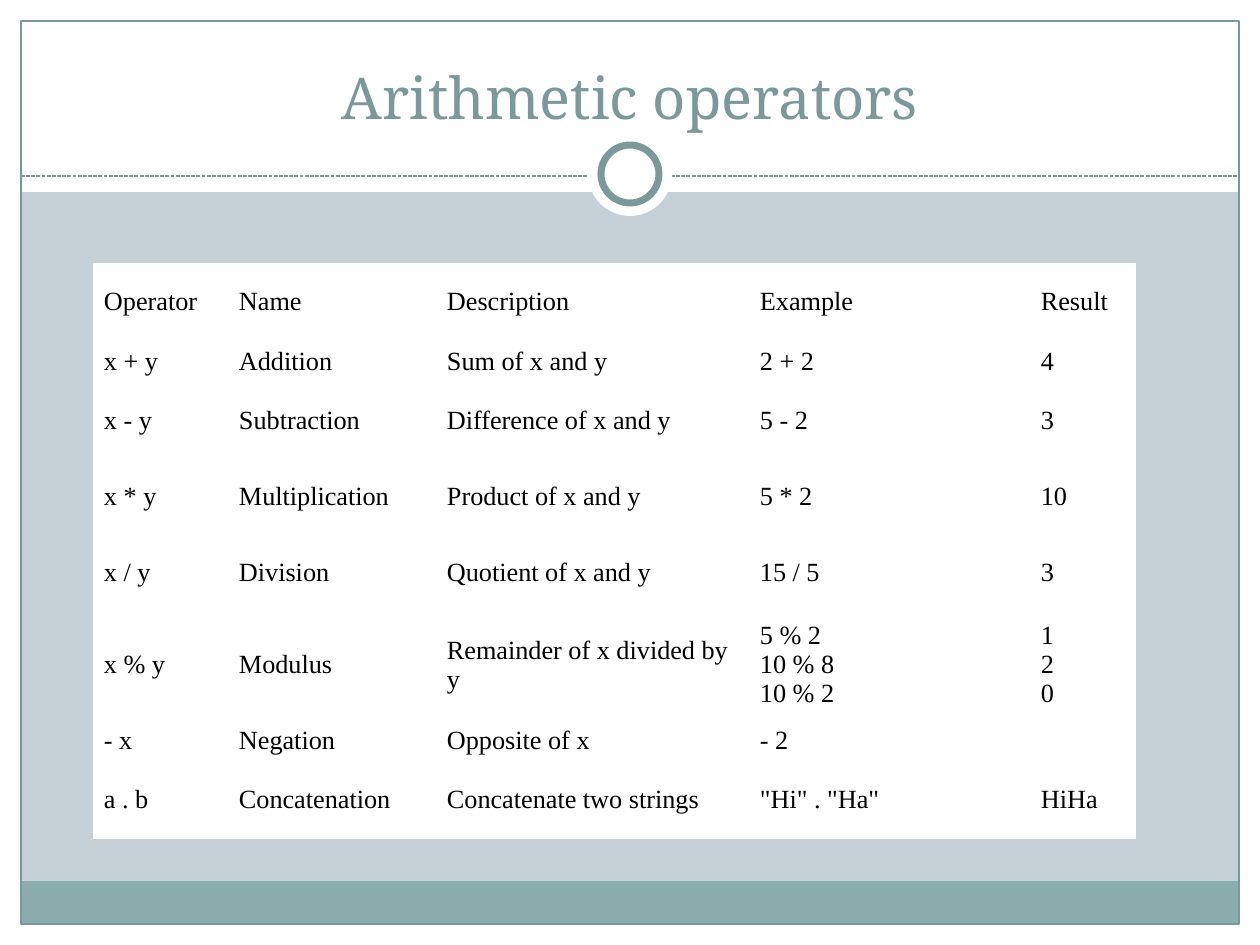
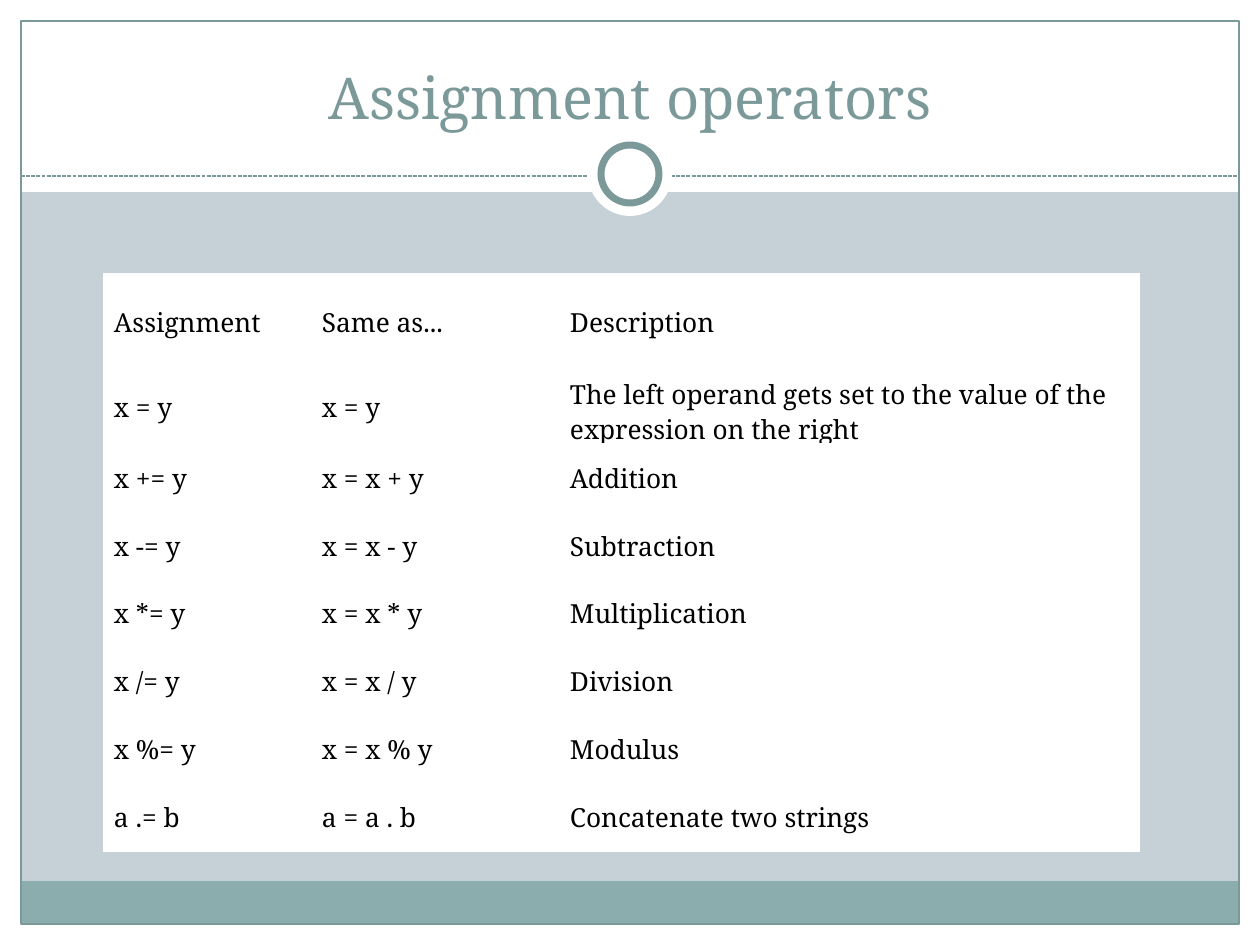
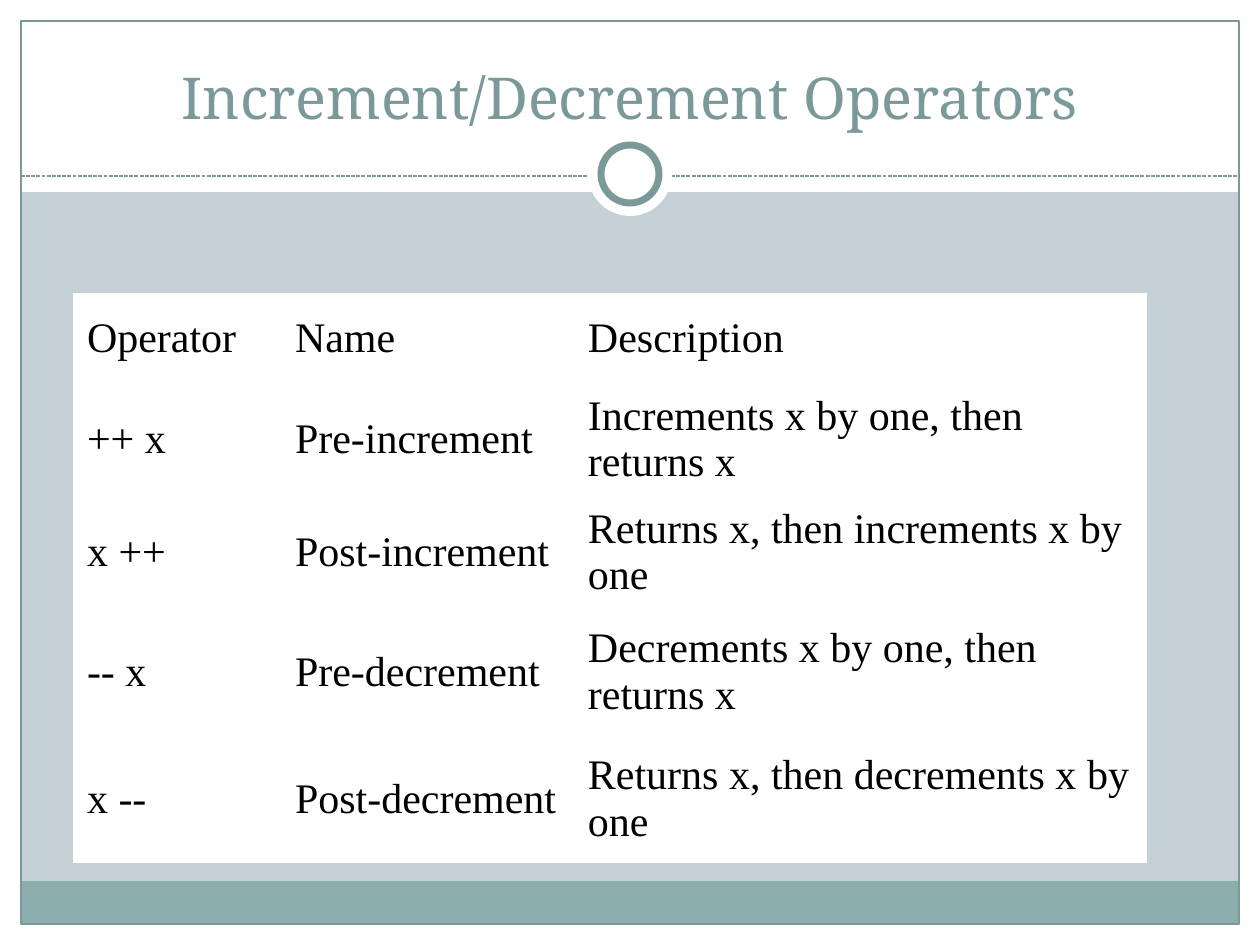
"""Build three slides of operator reference tables."""
from copy import deepcopy

from lxml import etree
from pptx import Presentation
from pptx.dml.color import RGBColor
from pptx.enum.dml import MSO_LINE
from pptx.enum.shapes import MSO_CONNECTOR, MSO_SHAPE
from pptx.enum.text import MSO_ANCHOR, PP_ALIGN
from pptx.oxml.ns import qn
from pptx.util import Emu, Pt

RECT, OVAL = MSO_SHAPE.RECTANGLE, MSO_SHAPE.OVAL
STRAIGHT, DASHED = MSO_CONNECTOR.STRAIGHT, MSO_LINE.SQUARE_DOT
LEFT, CENTER = PP_ALIGN.LEFT, PP_ALIGN.CENTER
MIDDLE, BOTTOM = MSO_ANCHOR.MIDDLE, MSO_ANCHOR.BOTTOM

EMU_PER_PIXEL = 914400 / 126
WIDTH, HEIGHT = 1260, 945
MARGIN = 21
BAND_HEIGHT = 192
RULE_Y = 176
MEDALLION_Y = 174
SERIF, TIMES = "Noto Serif", "Times New Roman"
COLORS = {
    "background": "C5D1D7",
    "paper": "FFFFFF",
    "footer": "8CADAE",
    "accent": "7C999A",
    "text": "000000",
}

ARITHMETIC = [
    ("Operator", "Name", "Description", "Example", "Result"),
    ("x + y", "Addition", "Sum of x and y", "2 + 2", "4"),
    ("x - y", "Subtraction", "Difference of x and y", "5 - 2", "3"),
    ("x * y", "Multiplication", "Product of x and y", "5 * 2", "10"),
    ("x / y", "Division", "Quotient of x and y", "15 / 5", "3"),
    ("x % y", "Modulus", "Remainder of x divided by y",
     "5 % 2\v10 % 8\v10 % 2", "1\v2\v0"),
    ("- x", "Negation", "Opposite of x", "- 2", ""),
    ("a . b", "Concatenation", "Concatenate two strings",
     '"Hi" . "Ha"', "HiHa"),
]
ASSIGNMENT = [
    ("Assignment", "Same as...", "Description"),
    ("x = y", "x = y", "The left operand gets set to the value of the "
     "expression on the right"),
    ("x += y", "x = x + y", "Addition"),
    ("x -= y", "x = x - y", "Subtraction"),
    ("x *= y", "x = x * y", "Multiplication"),
    ("x /= y", "x = x / y", "Division"),
    ("x %= y", "x = x % y", "Modulus"),
    ("a .= b", "a = a . b", "Concatenate two strings"),
]
INCREMENT = [
    ("Operator", "Name", "Description"),
    ("++ x", "Pre-increment", "Increments x by one, then returns x"),
    ("x ++", "Post-increment", "Returns x, then increments x by one"),
    ("-- x", "Pre-decrement", "Decrements x by one, then returns x"),
    ("x --", "Post-decrement", "Returns x, then decrements x by one"),
]


def px(pixels):
    """Turn pixels into EMU."""
    return Emu(round(pixels * EMU_PER_PIXEL))


def color(name):
    """Look up a named colour."""
    return RGBColor.from_string(COLORS[name])


def write(frame, text, size, font=SERIF, ink="text", align=LEFT):
    """Write one formatted paragraph, with \\v as a line break."""
    paragraph = frame.paragraphs[0]
    paragraph.text = text
    paragraph.alignment = align
    for run in paragraph.runs:
        run.font.size = Pt(size)
        run.font.name = font
        run.font.color.rgb = color(ink)
    for line_break in paragraph._p.findall(qn("a:br")):
        line_break.append(deepcopy(paragraph.runs[0]._r.rPr))
    if not text:
        paragraph._p.get_or_add_endParaRPr().set("sz", str(size * 100))


def add_panel(slide, kind, box, fill=None, line_width=0):
    """Add a flat shape with an optional fill and accent outline."""
    panel = slide.shapes.add_shape(kind, *map(px, box))
    panel.shadow.inherit = False
    if fill:
        panel.fill.solid()
        panel.fill.fore_color.rgb = color(fill)
    else:
        panel.fill.background()
    if line_width:
        panel.line.color.rgb = color("accent")
        panel.line.width = Pt(line_width)
    else:
        panel.line.fill.background()


def add_rule(slide):
    """Add the dashed rule below the title."""
    rule = slide.shapes.add_connector(
        STRAIGHT, px(MARGIN), px(RULE_Y), px(WIDTH - MARGIN), px(RULE_Y))
    rule.line.color.rgb = color("accent")
    rule.line.width = Pt(0.75)
    rule.line.dash_style = DASHED
    etree.SubElement(rule._element.spPr, qn("a:effectLst"))


def add_disc(slide, diameter, line_width=0):
    """Add a white disc centred on the medallion."""
    box = ((WIDTH - diameter) / 2, MEDALLION_Y - diameter / 2,
           diameter, diameter)
    add_panel(slide, OVAL, box, "paper", line_width)


def add_title(slide, title):
    """Add the centred slide title."""
    box = slide.shapes.add_textbox(px(42), px(32), px(1176), px(105))
    box.text_frame.word_wrap = True
    box.text_frame.vertical_anchor = BOTTOM
    write(box.text_frame, title, 33, ink="accent", align=CENTER)


def add_framed_slide(deck, title):
    """Add a slide with the shared background, frame and title."""
    slide = deck.slides.add_slide(deck.slide_layouts[6])
    slide.background.fill.solid()
    slide.background.fill.fore_color.rgb = color("background")
    inner_width = WIDTH - 2 * MARGIN
    for box in (
        (0, HEIGHT - MARGIN, WIDTH, MARGIN),
        (0, 0, WIDTH, BAND_HEIGHT),
        (0, 0, MARGIN, HEIGHT),
        (WIDTH - MARGIN, 0, MARGIN, HEIGHT),
    ):
        add_panel(slide, RECT, box, "paper")
    add_panel(slide, RECT, (MARGIN, 881, inner_width, 43), "footer")
    add_panel(slide, RECT, (MARGIN, MARGIN, inner_width, HEIGHT - 2 * MARGIN),
              line_width=0.75)
    add_rule(slide)
    add_disc(slide, 84)
    add_disc(slide, 58, 4)
    add_title(slide, title)
    return slide


def add_operator_table(slide, rows, corner, widths, heights, size, font,
                       insets=(10, 5)):
    """Add a plain white table of operators."""
    box = (*corner, sum(widths), sum(heights))
    table = slide.shapes.add_table(len(rows), len(widths), *map(px, box)).table
    table.first_row = False
    table.horz_banding = False
    for column, width in zip(table.columns, widths):
        column.width = px(width)
    for row, height, texts in zip(table.rows, heights, rows):
        row.height = px(height)
        for cell, text in zip(row.cells, texts):
            cell.fill.solid()
            cell.fill.fore_color.rgb = color("paper")
            cell.vertical_anchor = MIDDLE
            cell.margin_left = cell.margin_right = px(insets[0])
            cell.margin_top = cell.margin_bottom = px(insets[1])
            write(cell.text_frame, text, size, font)


def main():
    """Build and save the presentation."""
    deck = Presentation()
    deck.slide_width, deck.slide_height = px(WIDTH), px(HEIGHT)

    arithmetic = add_framed_slide(deck, "Arithmetic operators")
    add_operator_table(
        arithmetic, ARITHMETIC, (94, 264), (135, 208, 313, 281, 104),
        (76, 43, 76, 76, 76, 108, 43, 76), 15, TIMES)

    assignment = add_framed_slide(deck, "Assignment operators")
    add_operator_table(
        assignment, ASSIGNMENT, (104, 274), (208, 248, 579),
        [97] + [68] * 7, 15, SERIF)

    increment = add_framed_slide(deck, "Increment/Decrement Operators")
    add_operator_table(
        increment, INCREMENT, (74, 294), (208, 293, 571),
        [89] * 3 + [127] * 2, 24, TIMES, insets=(13, 6))

    deck.save("out.pptx")


main()
